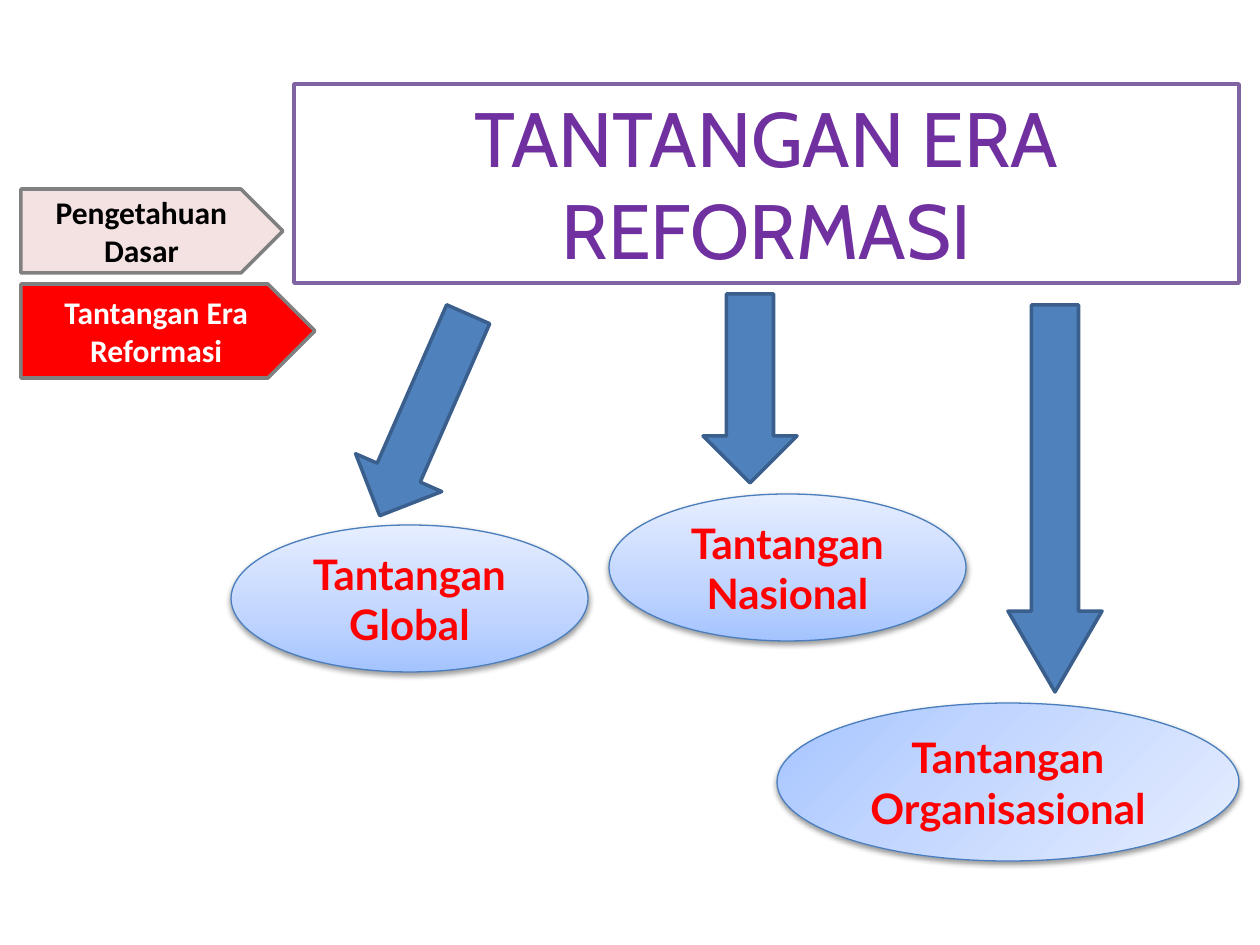
from dataclasses import dataclass

from lxml import etree
from pptx import Presentation
from pptx import util as u
from pptx.dml.color import RGBColor
from pptx.enum import shapes, text
from pptx.oxml import parse_xml
from pptx.oxml.ns import nsdecls, qn

PX = 914400 / 126
SHAPE = shapes.MSO_SHAPE
COLORS = {
    "white": "FFFFFF", "black": "000000", "red": "FF0000", "pink": "E6B9B8",
    "gray": "808080", "purple": "7030A0", "violet": "8064A2",
    "arrow": "4F81BD", "arrow_line": "3A5F8C", "oval_line": "4B7EBC",
}
OVAL_STOPS = ((0, "A4C4FF"), (35, "BFD4FF"), (100, "E6EEFF"))
UPWARD = '<a:lin ang="16200000" scaled="1"/>'
FROM_CORNER = '<a:path path="circle"><a:fillToRect r="100000" b="100000"/></a:path>'


@dataclass
class Box:
    x: int
    y: int
    w: int
    h: int

    def emu(self) -> list[int]:
        return [round(n * PX) for n in (self.x, self.y, self.w, self.h)]


@dataclass
class Tag:
    label: str
    box: Box
    fill: str
    color: str
    opacity: int = 100


@dataclass
class Arrow:
    box: Box
    rotation: float = 0
    head: float = 0.5


@dataclass
class Oval:
    label: str
    box: Box
    shade: str = UPWARD


TAGS = [
    Tag("Tantangan Era Reformasi", Box(21, 284, 294, 94), "red", "white"),
    Tag("Pengetahuan Dasar", Box(21, 189, 262, 84), "pink", "black", 42),
]
ARROWS = [
    Arrow(Box(377, 305, 94, 220), rotation=23.7),
    Arrow(Box(703, 294, 94, 189)),
    Arrow(Box(1008, 305, 94, 387), head=0.86),
]
OVALS = [
    Oval("Tantangan Global", Box(231, 525, 357, 147)),
    Oval("Tantangan Nasional", Box(609, 494, 357, 147)),
    Oval("Tantangan Organisasional", Box(777, 703, 462, 158), FROM_CORNER),
]


def rgb(name: str) -> RGBColor:
    return RGBColor.from_string(COLORS[name])


def paint(sp, fill: str, line: str, width: float = 2) -> None:
    sp.fill.solid()
    sp.fill.fore_color.rgb = rgb(fill)
    sp.line.color.rgb = rgb(line)
    sp.line.width = u.Pt(width)


def add_shape(slide, kind, box: Box, fill: str, line: str, width: float = 2):
    sp = slide.shapes.add_shape(kind, *box.emu())
    sp.shadow.inherit = False
    paint(sp, fill, line, width)
    return sp


def write(sp, label: str, font: str, size: int, color: str, bold: bool = True) -> None:
    tf = sp.text_frame
    tf.word_wrap = True
    p = tf.paragraphs[0]
    p.text = label
    p.alignment = text.PP_ALIGN.CENTER
    p.font.name = font
    p.font.size = u.Pt(size)
    p.font.bold = bold
    p.font.color.rgb = rgb(color)


def add_tag(slide, tag: Tag) -> None:
    sp = add_shape(slide, SHAPE.PENTAGON, tag.box, tag.fill, "gray")
    if tag.opacity < 100:
        color = sp._element.spPr.find(qn("a:solidFill"))[0]
        etree.SubElement(color, qn("a:alpha"), val=str(tag.opacity * 1000))
    write(sp, tag.label, "Calibri", 18, tag.color)


def add_arrow(slide, arrow: Arrow) -> None:
    sp = add_shape(slide, SHAPE.DOWN_ARROW, arrow.box, "arrow", "arrow_line")
    sp.rotation = arrow.rotation
    sp.adjustments[1] = arrow.head


def add_oval(slide, oval: Oval) -> None:
    sp = add_shape(slide, SHAPE.OVAL, oval.box, "white", "oval_line", 0.75)
    spPr = sp._element.spPr
    # Gradient fill
    stops = "".join(
        f'<a:gs pos="{pos * 1000}"><a:srgbClr val="{color}"/></a:gs>'
        for pos, color in OVAL_STOPS
    )
    gradient = parse_xml(
        f'<a:gradFill {nsdecls("a")} rotWithShape="1">'
        f"<a:gsLst>{stops}</a:gsLst>{oval.shade}</a:gradFill>"
    )
    spPr.replace(spPr.find(qn("a:solidFill")), gradient)
    # Soft shadow below
    spPr.find(qn("a:effectLst")).append(parse_xml(
        f'<a:outerShdw {nsdecls("a")} blurRad="{u.Pt(3.1)}" dist="{u.Pt(1.6)}" '
        'dir="5400000" rotWithShape="0"><a:srgbClr val="000000">'
        '<a:alpha val="38000"/></a:srgbClr></a:outerShdw>'
    ))
    write(sp, oval.label, "Lato", 24, "red")


def add_title(slide, label: str, box: Box) -> None:
    sp = slide.shapes.title
    sp.left, sp.top, sp.width, sp.height = box.emu()
    paint(sp, "white", "violet")
    sp.text_frame.auto_size = text.MSO_AUTO_SIZE.NONE
    sp.text_frame.vertical_anchor = text.MSO_ANCHOR.TOP
    write(sp, label, "Cabin", 44, "purple", bold=False)


def main() -> None:
    prs = Presentation()
    prs.slide_width, prs.slide_height = u.Inches(10), u.Inches(7.5)
    slide = prs.slides.add_slide(prs.slide_layouts[5])

    add_title(slide, "TANTANGAN ERA REFORMASI", Box(294, 84, 945, 199))
    for tag in TAGS:
        add_tag(slide, tag)
    for arrow in ARROWS:
        add_arrow(slide, arrow)
    for oval in OVALS:
        add_oval(slide, oval)

    prs.save("out.pptx")


if __name__ == "__main__":
    main()
